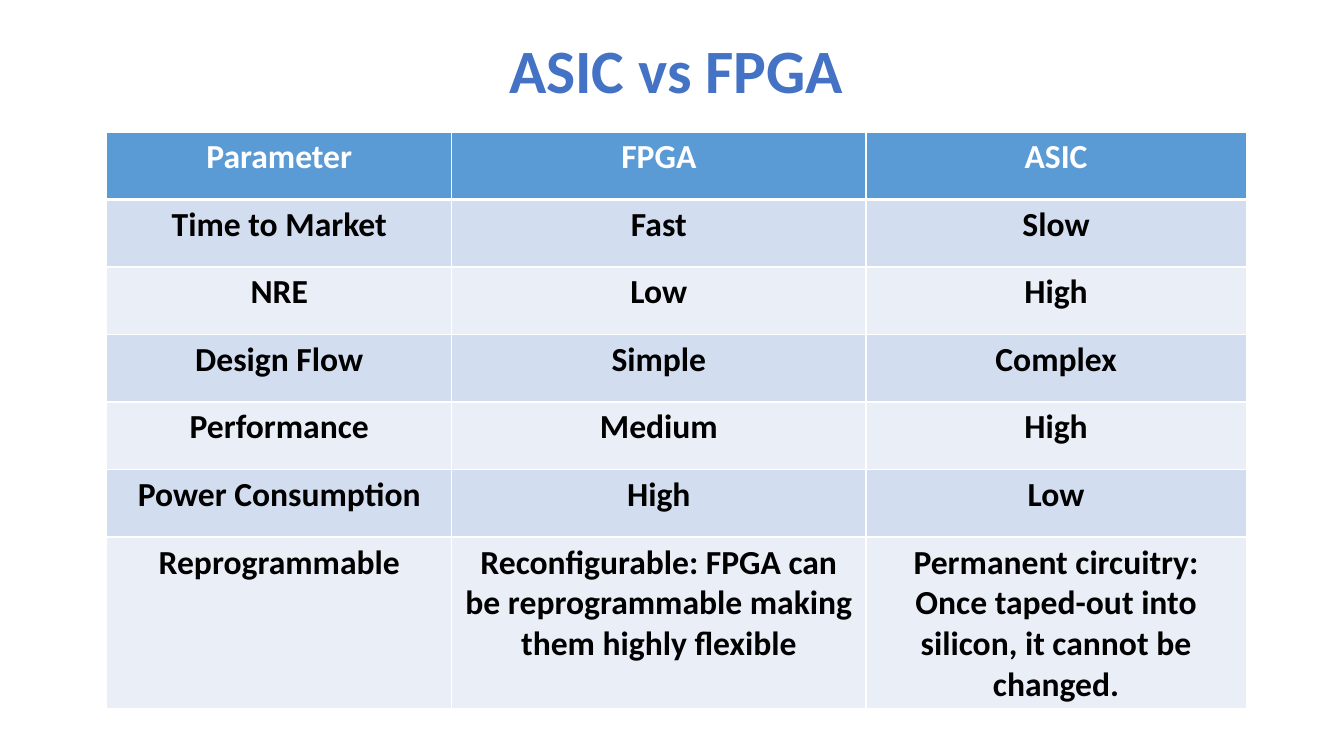
from lxml.etree import SubElement
from pptx import Presentation
from pptx.dml.color import RGBColor
from pptx.enum.text import MSO_ANCHOR, PP_ALIGN
from pptx.oxml.ns import qn
from pptx.util import Inches, Pt

COLORS = {
    "title": "4472C4",
    "header": "5B9BD5",
    "band_dark": "D2DEEF",
    "band_light": "EAEFF7",
    "white": "FFFFFF",
    "black": "000000",
}
COLUMN_WIDTHS = [3.42, 4.11, 3.77]
ROW_HEIGHTS = [0.67] * 6 + [1.67]
COMPARISON = [
    ("Parameter", "FPGA", "ASIC"),
    ("Time to Market", "Fast", "Slow"),
    ("NRE", "Low", "High"),
    ("Design Flow", "Simple", "Complex"),
    ("Performance", "Medium", "High"),
    ("Power Consumption", "High", "Low"),
    (
        "Reprogrammable",
        "Reconfigurable: FPGA can be reprogrammable making them highly flexible",
        "Permanent circuitry: Once taped-out into silicon, it cannot be changed.",
    ),
]


def write_text(frame, text, size, color):
    """Put one bold, centred run into a text frame."""
    paragraph = frame.paragraphs[0]
    paragraph.alignment = PP_ALIGN.CENTER
    span = paragraph.add_run()
    span.text = text
    span.font.name = "Calibri"
    span.font.size = Pt(size)
    span.font.bold = True
    span.font.color.rgb = RGBColor.from_string(COLORS[color])
    return paragraph


def set_borders(cell, widths):
    """Draw white borders; widths maps a side (L, R, T, B) to points."""
    properties = cell._tc.get_or_add_tcPr()
    for side, width in widths.items():
        line = SubElement(properties, qn(f"a:ln{side}"), w=str(Pt(width)))
        fill = SubElement(line, qn("a:solidFill"))
        SubElement(fill, qn("a:srgbClr"), val=COLORS["white"])


deck = Presentation()
deck.slide_width = Inches(13.33)
deck.slide_height = Inches(7.5)
page = deck.slides.add_slide(deck.slide_layouts[6])

# Title
title_box = page.shapes.add_textbox(Inches(0.96), Inches(0), Inches(11.5), Inches(1.45))
title_frame = title_box.text_frame
title_frame.word_wrap = True
title_frame.vertical_anchor = MSO_ANCHOR.MIDDLE
title = write_text(title_frame, "ASIC vs FPGA", 44, "title")
title.line_spacing = 0.9

# Comparison table
table = page.shapes.add_table(
    len(ROW_HEIGHTS), len(COLUMN_WIDTHS),
    Inches(1.06), Inches(1.31), Inches(sum(COLUMN_WIDTHS)), Inches(sum(ROW_HEIGHTS)),
).table
for column, width in zip(table.columns, COLUMN_WIDTHS):
    column.width = Inches(width)
for row, height in zip(table.rows, ROW_HEIGHTS):
    row.height = Inches(height)

for row_index, texts in enumerate(COMPARISON):
    is_header = row_index == 0
    if is_header:
        fill_color = "header"
    else:
        fill_color = "band_dark" if row_index % 2 else "band_light"
    top = 3 if row_index == 1 else 1
    bottom = 3 if is_header else 1
    for column_index, text in enumerate(texts):
        cell = table.cell(row_index, column_index)
        set_borders(cell, {"L": 1, "R": 1, "T": top, "B": bottom})
        cell.fill.solid()
        cell.fill.fore_color.rgb = RGBColor.from_string(COLORS[fill_color])
        write_text(cell.text_frame, text, 24, "white" if is_header else "black")

deck.save("out.pptx")
